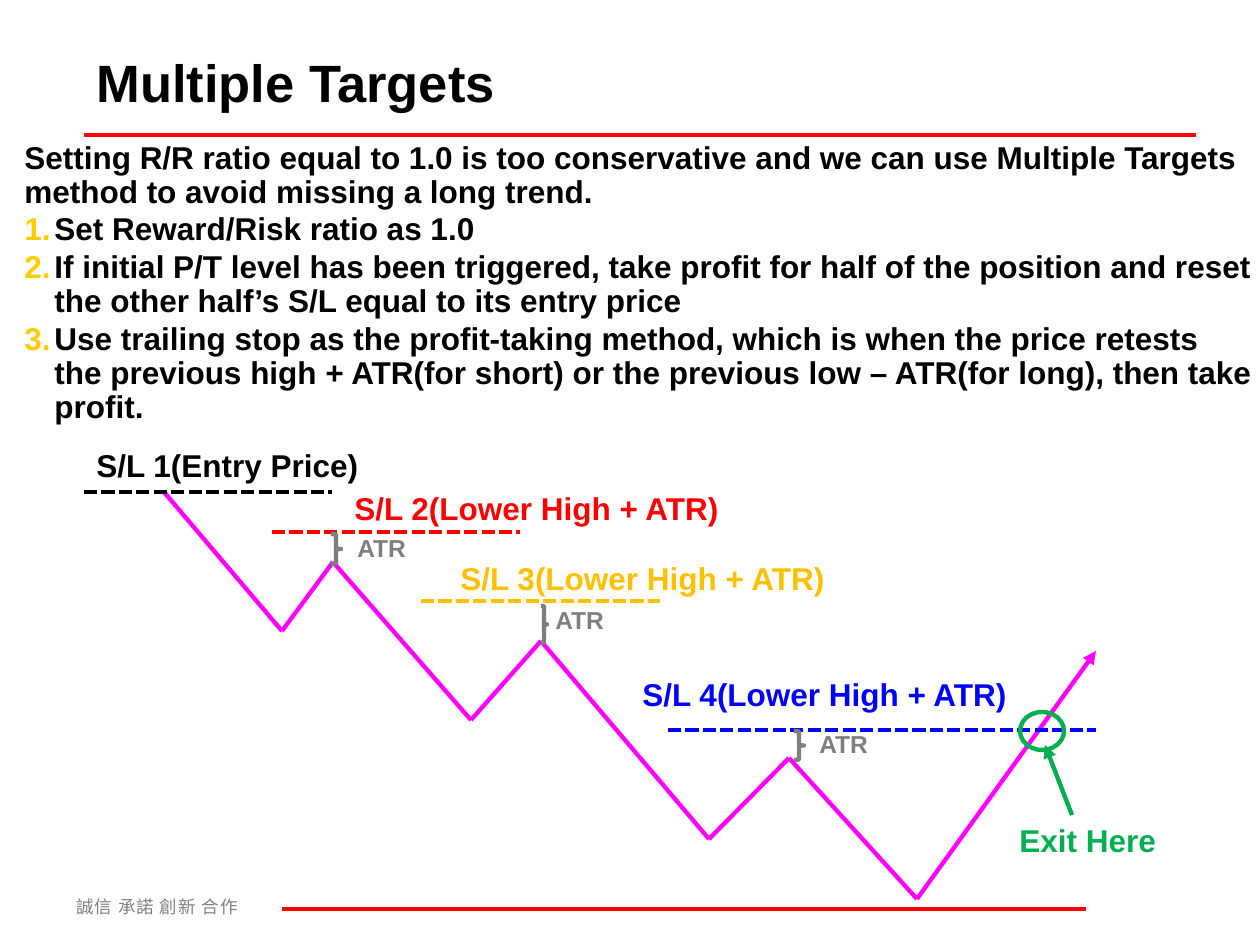
import pptx
import pptx.util
import pptx.dml.color
import pptx.enum.dml
import pptx.enum.shapes
import pptx.enum.text
import pptx.oxml
import pptx.oxml.ns
from lxml import etree

RGB = pptx.dml.color.RGBColor
BLACK = RGB(0, 0, 0)
RED = RGB(255, 0, 0)
MAGENTA = RGB(255, 0, 255)
AMBER = RGB(255, 192, 0)
BLUE = RGB(0, 0, 255)
GREEN = RGB(0, 176, 80)
GRAY = RGB(127, 127, 127)
FOOTER_GRAY = RGB(128, 128, 128)
NUMBER_COLOR = "FFCC00"

PX = 914400 / 126
SHAPE = pptx.enum.shapes.MSO_SHAPE
ANCHOR = pptx.enum.text.MSO_ANCHOR
qn = pptx.oxml.ns.qn

prs = pptx.Presentation()
prs.slide_width = pptx.util.Inches(10)
prs.slide_height = pptx.util.Inches(7.5)
s = prs.slides.add_slide(prs.slide_layouts[5])


def add_text(x, y, w, h, text, size, color, bold=True, font="Arial"):
    sp = s.shapes.add_textbox(*(round(v * PX) for v in (x, y, w, h)))
    tf = sp.text_frame
    tf.word_wrap = True
    tf.text = text
    for p in tf.paragraphs:
        p.font.size = pptx.util.Pt(size)
        p.font.name = font
        p.font.bold = bold
        p.font.color.rgb = color
    return tf


def add_line(x1, y1, x2, y2, color, width=2.5, dashed=False, arrow=False):
    cn = s.shapes.add_connector(
        pptx.enum.shapes.MSO_CONNECTOR.STRAIGHT,
        *(round(v * PX) for v in (x1, y1, x2, y2)))
    cn.line.color.rgb = color
    cn.line.width = pptx.util.Pt(width)
    if dashed:
        cn.line.dash_style = pptx.enum.dml.MSO_LINE.SQUARE_DOT
    if arrow:
        etree.SubElement(cn.line._get_or_add_ln(), qn("a:tailEnd"), type="triangle")
    etree.SubElement(cn._element.spPr, qn("a:effectLst"))


title = s.shapes.title
title.left, title.top, title.width, title.height = (
    round(v * PX) for v in (84, 38, 1142, 87))
tf = title.text_frame
tf.text = "Multiple Targets"
tf.auto_size = pptx.enum.text.MSO_AUTO_SIZE.NONE
tf.vertical_anchor = ANCHOR.MIDDLE
p = tf.paragraphs[0]
p.alignment = pptx.enum.text.PP_ALIGN.LEFT
p.font.size = pptx.util.Pt(30)
p.font.name = "Arial"
p.font.bold = True
p.font.color.rgb = BLACK

tf = add_text(64, 890, 318, 34, "誠信 承諾 創新 合作", 10, FOOTER_GRAY, False, "Noto Sans CJK SC")
rPr = tf.paragraphs[0].runs[0].font._element
rPr.set("spc", "60")
etree.SubElement(rPr, qn("a:ea"), typeface="Noto Sans CJK SC")

add_line(84, 135, 1196, 135, RED, 2.25)
add_line(282, 909, 1086, 909, RED, 2.25)

body = [
    "Setting R/R ratio equal to 1.0 is too conservative and we can use Multiple Targets method to avoid missing a long trend.",
    "Set Reward/Risk ratio as 1.0",
    "If initial P/T level has been triggered, take profit for half of the position and reset the other half’s S/L equal to its entry price",
    "Use trailing stop as the profit-taking method, which is when the price retests the previous high + ATR(for short) or the previous low – ATR(for long), then take profit.",
]
tf = add_text(12, 204, 1253, 159, "\n".join(body), 18, BLACK)
tf.vertical_anchor = ANCHOR.MIDDLE
for i, p in enumerate(tf.paragraphs):
    p.line_spacing = 0.9
    if i:
        p.space_before = pptx.util.Pt(2)
        pPr = p._p.get_or_add_pPr()
        pPr.set("marL", str(round(30 * PX)))
        pPr.set("indent", str(round(-30 * PX)))
        clr = pptx.oxml.parse_xml(
            '<a:buClr xmlns:a="http://schemas.openxmlformats.org/drawingml/2006/main">'
            f'<a:srgbClr val="{NUMBER_COLOR}"/></a:buClr>')
        num = etree.Element(qn("a:buAutoNum"), type="arabicPeriod")
        pPr.find(qn("a:spcBef")).addnext(clr)
        clr.addnext(num)

prices = [(164, 492), (282, 631), (333, 562), (471, 720), (541, 641),
          (709, 839), (789, 758), (917, 899), (1096, 651)]
for start, end in zip(prices, prices[1:]):
    add_line(*start, *end, MAGENTA, arrow=end == prices[-1])

stops = [
    (84, 332, 492, 84, 440, 540, "S/L 1(Entry Price)", BLACK),
    (272, 520, 532, 342, 483, 540, "S/L 2(Lower High + ATR)", RED),
    (421, 660, 601, 448, 553, 393, "S/L 3(Lower High + ATR)", AMBER),
    (668, 1096, 730, 630, 669, 393, "S/L 4(Lower High + ATR)", BLUE),
]
for x1, x2, y, text_x, text_y, text_w, text, color in stops:
    add_line(x1, y, x2, y, color, dashed=True)
    add_text(text_x, text_y, text_w, 50, text, 18, color)

add_line(1072, 815, 1045, 745, GREEN, arrow=True)
add_text(1007, 815, 179, 50, "Exit Here", 18, GREEN)

outlines = [
    (SHAPE.RIGHT_BRACE, 331, 534, 10, 30, GRAY),
    (SHAPE.RIGHT_BRACE, 541, 606, 6, 37, GRAY),
    (SHAPE.RIGHT_BRACE, 794, 731, 10, 29, GRAY),
    (SHAPE.OVAL, 1020, 712, 44, 38, GREEN),
]
for kind, x, y, w, h, color in outlines:
    sp = s.shapes.add_shape(kind, *(round(v * PX) for v in (x, y, w, h)))
    sp.shadow.inherit = False
    sp.fill.background()
    sp.line.color.rgb = color
    sp.line.width = pptx.util.Pt(2.5)

for x, y in [(345, 527), (543, 599), (807, 723)]:
    add_text(x, y, 186, 43, "ATR", 14, GRAY)

prs.save("out.pptx")
